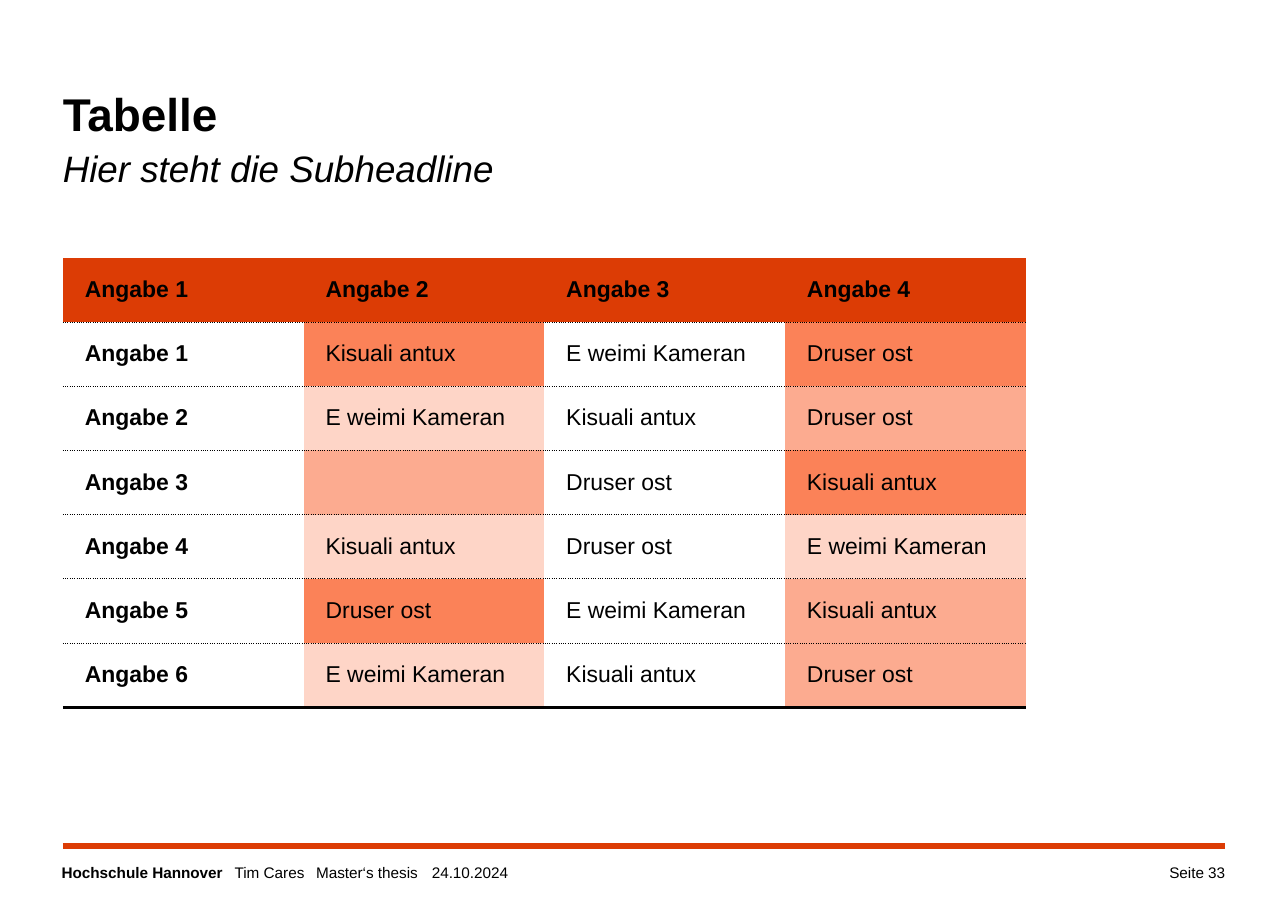
"""Build a table slide with headline, shaded cells and footer."""
from dataclasses import dataclass
from typing import Optional

from lxml.etree import SubElement
from pptx import Presentation
from pptx.dml.color import RGBColor
from pptx.enum.shapes import MSO_CONNECTOR
from pptx.enum.text import PP_ALIGN
from pptx.oxml.ns import qn
from pptx.util import Inches, Pt

BLACK = RGBColor(0x00, 0x00, 0x00)
ORANGE = RGBColor(0xDC, 0x3C, 0x05)
STRONG = RGBColor(0xFB, 0x82, 0x58)
MEDIUM = RGBColor(0xFC, 0xAB, 0x90)
LIGHT = RGBColor(0xFE, 0xD5, 0xC7)

FONT = "Arial"
LEFT, RIGHT = 0.57, 11.12
TABLE_TOP, TABLE_WIDTH, TABLE_HEIGHT = 2.34, 8.74, 4.08
FOOTER_TABS = (1.57, 2.31, 3.36)


@dataclass(frozen=True)
class Entry:
    text: str
    fill: Optional[RGBColor] = None
    bold: bool = False


@dataclass(frozen=True)
class Border:
    side: str
    width: float = 0
    dash: str = "solid"


HEADER = [Entry(f"Angabe {number}", ORANGE, True) for number in range(1, 5)]
BODY = [
    [Entry("Kisuali antux", STRONG), Entry("E weimi Kameran"), Entry("Druser ost", STRONG)],
    [Entry("E weimi Kameran", LIGHT), Entry("Kisuali antux"), Entry("Druser ost", MEDIUM)],
    [Entry("", MEDIUM), Entry("Druser ost"), Entry("Kisuali antux", STRONG)],
    [Entry("Kisuali antux", LIGHT), Entry("Druser ost"), Entry("E weimi Kameran", LIGHT)],
    [Entry("Druser ost", STRONG), Entry("E weimi Kameran"), Entry("Kisuali antux", MEDIUM)],
    [Entry("E weimi Kameran", LIGHT), Entry("Kisuali antux"), Entry("Druser ost", MEDIUM)],
]
ROWS = [HEADER] + [
    [Entry(f"Angabe {number}", bold=True), *entries]
    for number, entries in enumerate(BODY, start=1)
]


def add_run(paragraph, text: str, size: float, bold: bool = False, italic: bool = False) -> None:
    run = paragraph.add_run()
    run.text = text
    run.font.name = FONT
    run.font.size = Pt(size)
    run.font.bold = bold
    run.font.italic = italic
    run.font.color.rgb = BLACK


def add_text_area(slide, left: float, top: float, width: float, height: float):
    frame = slide.shapes.add_textbox(
        Inches(left), Inches(top), Inches(width), Inches(height)
    ).text_frame
    frame.word_wrap = True
    frame.margin_left = frame.margin_right = frame.margin_top = frame.margin_bottom = 0
    return frame.paragraphs[0]


def add_headline(slide) -> None:
    headline = add_text_area(slide, LEFT, 0.73, RIGHT - LEFT, 1.04)
    headline.line_spacing = 1.1
    add_run(headline, "Tabelle", 30, bold=True)
    headline.add_line_break()
    add_run(headline, "Hier steht die Subheadline", 24, italic=True)


def draw_border(cell, border: Border) -> None:
    edge = SubElement(cell._tc.get_or_add_tcPr(), qn(f"a:{border.side}"), w=str(Pt(border.width)))
    if not border.width:
        SubElement(edge, qn("a:noFill"))
        return
    color = SubElement(edge, qn("a:solidFill"))
    SubElement(color, qn("a:srgbClr"), val=str(BLACK))
    SubElement(edge, qn("a:prstDash"), val=border.dash)


def fill_cell(cell, entry: Entry, borders: list[Border]) -> None:
    for border in borders:
        draw_border(cell, border)
    if entry.fill is None:
        cell.fill.background()
    else:
        cell.fill.solid()
        cell.fill.fore_color.rgb = entry.fill
    if entry.text:
        cell.margin_left = cell.margin_right = Inches(0.2)
        cell.margin_top = cell.margin_bottom = Inches(0.15)
        paragraph = cell.text_frame.paragraphs[0]
        paragraph.line_spacing = 1.1
        add_run(paragraph, entry.text, 15, entry.bold)


def add_data_table(slide) -> None:
    table = slide.shapes.add_table(
        len(ROWS), len(HEADER), Inches(LEFT), Inches(TABLE_TOP),
        Inches(TABLE_WIDTH), Inches(TABLE_HEIGHT),
    ).table
    table.horz_banding = False
    last = len(ROWS) - 1
    for row, entries in enumerate(ROWS):
        top = Border("lnT", 0.5, "sysDot") if row else Border("lnT")
        bottom = Border("lnB", 2.25) if row == last else Border("lnB", 0.5, "sysDot")
        for column, entry in enumerate(entries):
            fill_cell(table.cell(row, column), entry,
                      [Border("lnL"), Border("lnR"), top, bottom])


def add_footer(slide) -> None:
    rule = slide.shapes.add_connector(
        MSO_CONNECTOR.STRAIGHT, Inches(LEFT), Inches(7.68), Inches(RIGHT), Inches(7.68)
    )
    rule.line.color.rgb = ORANGE
    rule.line.width = Pt(4)
    SubElement(rule._element.spPr, qn("a:effectLst"))

    imprint = add_text_area(slide, 0.56, 7.84, 8.44, 0.24)
    stops = SubElement(imprint._p.get_or_add_pPr(), qn("a:tabLst"))
    for position in FOOTER_TABS:
        SubElement(stops, qn("a:tab"), pos=str(Inches(position)), algn="l")
    add_run(imprint, "Hochschule Hannover", 10, bold=True)
    add_run(imprint, "\tTim Cares\tMaster‘s thesis\t24.10.2024", 10)

    page_number = add_text_area(slide, 9.78, 7.84, 1.34, 0.25)
    page_number.alignment = PP_ALIGN.RIGHT
    add_run(page_number, "Seite 33", 10)


def main() -> None:
    presentation = Presentation()
    presentation.slide_width = Inches(11.69)
    presentation.slide_height = Inches(8.27)
    slide = presentation.slides.add_slide(presentation.slide_layouts[6])
    add_headline(slide)
    add_data_table(slide)
    add_footer(slide)
    presentation.save("out.pptx")


if __name__ == "__main__":
    main()
